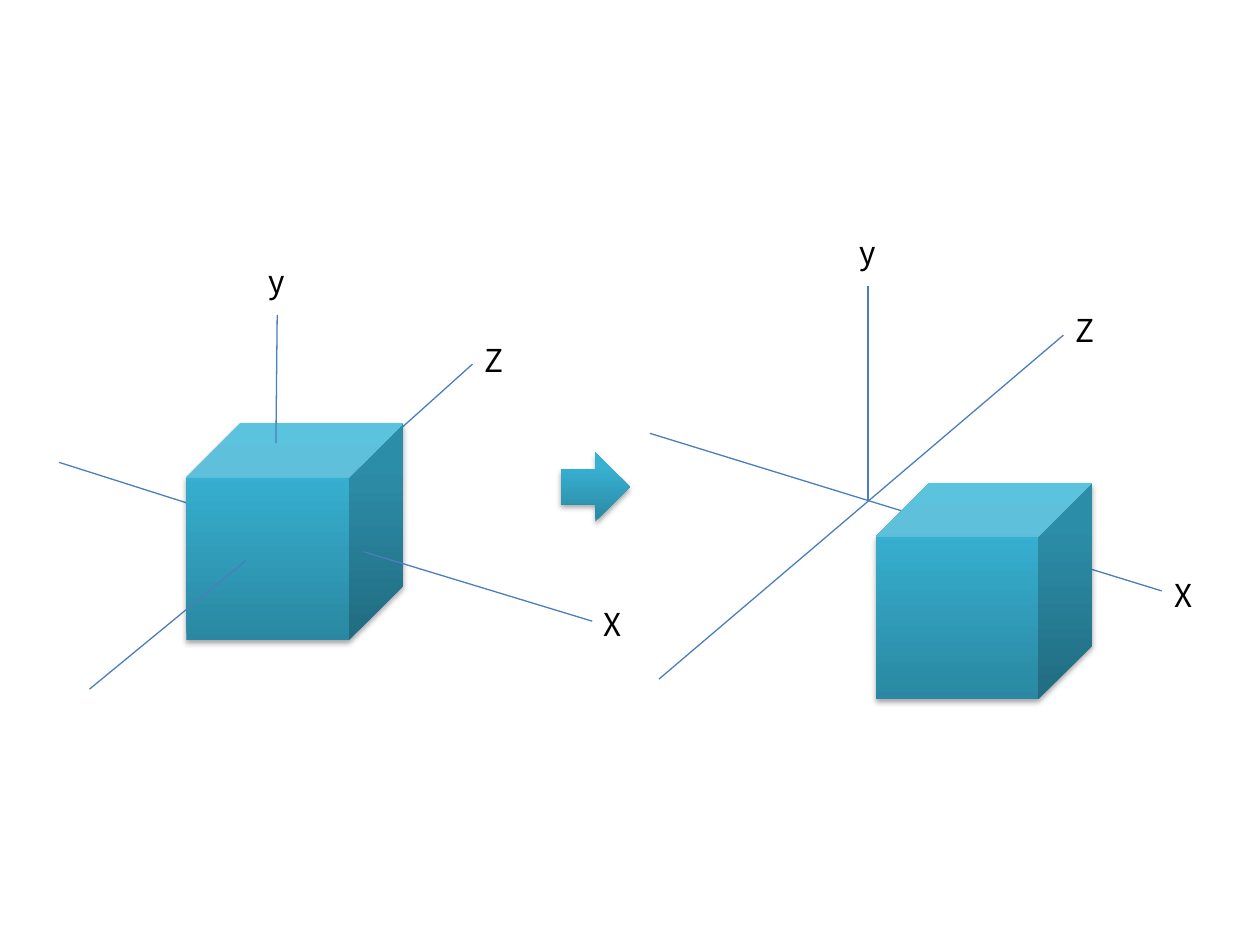
"""Build a slide showing a cube translated along the X axis."""
from lxml import etree
from pptx import Presentation
from pptx.dml.color import RGBColor
from pptx.enum.shapes import MSO_CONNECTOR, MSO_SHAPE
from pptx.enum.text import MSO_AUTO_SIZE
from pptx.util import Inches, Pt

STRAIGHT = MSO_CONNECTOR.STRAIGHT
CUBE, ARROW = MSO_SHAPE.CUBE, MSO_SHAPE.RIGHT_ARROW
GROW = MSO_AUTO_SIZE.SHAPE_TO_FIT_TEXT
NAMESPACE = "http://schemas.openxmlformats.org/drawingml/2006/main"

SLIDE_SIZE = (10, 7.5)
LABEL_SIZE = (0.55, 0.4)
CUBE_SIDE, ARROW_SIDE = 1.72, 0.55
ARROW_CORNER = (4.45, 3.59)
AXIS_COLOR = "4B7EBC"
LABEL_FORMAT = {"size": Pt(18), "name": "Noto Sans CJK KR"}
GRADIENT = [(0, "2A88A2"), (80, "37B1D2"), (100, "34B4D6")]

SCENES = [
    {
        "axes_behind": [(6.89, 2.27, 6.89, 3.98), (5.16, 3.44, 9.22, 4.69),
                        (8.44, 2.66, 5.23, 5.39)],
        "labels": {"y": (6.72, 1.8), "X": (9.22, 4.52), "Z": (8.44, 2.42)},
        "cube": (6.95, 3.83),
        "axes_in_front": [],
    },
    {
        "axes_behind": [(3.75, 2.89, 2.27, 4.22), (0.47, 3.67, 1.95, 4.14)],
        "labels": {"X": (4.69, 4.75), "y": (2.03, 2.03), "Z": (3.75, 2.66)},
        "cube": (1.48, 3.36),
        "axes_in_front": [(2.2, 2.5, 2.19, 3.52), (2.89, 4.38, 4.7, 4.93),
                          (1.95, 4.45, 0.71, 5.47)],
    },
]


def color(value):
    return RGBColor.from_string(value)


def inches(*lengths):
    return [Inches(length) for length in lengths]


def append_xml(solid, tag, body=""):
    xml = f'<a:{tag} xmlns:a="{NAMESPACE}">{body}</a:{tag}>'
    solid._element.spPr.append(etree.fromstring(xml))


def add_axis(shapes, ends):
    axis = shapes.add_connector(STRAIGHT, *inches(*ends))
    axis.line.color.rgb = color(AXIS_COLOR)
    axis.line.width = Pt(0.75)
    append_xml(axis, "effectLst")


def add_label(shapes, letter, corner):
    frame = shapes.add_textbox(*inches(*corner, *LABEL_SIZE)).text_frame
    frame.word_wrap = True
    frame.auto_size = GROW
    run = frame.paragraphs[0].add_run()
    run.text = letter
    for key, value in LABEL_FORMAT.items():
        setattr(run.font, key, value)
    run.font.color.rgb = color("000000")


def add_solid(shapes, kind, corner, side):
    solid = shapes.add_shape(kind, *inches(*corner, side, side))
    stops = "".join(f'<a:gs pos="{share * 1000}"><a:srgbClr val="{tone}"/></a:gs>'
                    for share, tone in GRADIENT)
    append_xml(solid, "gradFill", f'<a:gsLst>{stops}</a:gsLst><a:lin ang="16200000" scaled="0"/>')
    solid.line.fill.background()
    append_xml(solid, "effectLst",
               '<a:outerShdw blurRad="40000" dist="23000" dir="5400000" rotWithShape="0">'
               '<a:srgbClr val="000000"><a:alpha val="35000"/></a:srgbClr></a:outerShdw>')


def main():
    deck = Presentation()
    deck.slide_width, deck.slide_height = inches(*SLIDE_SIZE)
    slide = deck.slides.add_slide(deck.slide_layouts[6])
    shapes = slide.shapes.add_group_shape().shapes
    for scene in SCENES:
        for ends in scene["axes_behind"]:
            add_axis(shapes, ends)
        for letter, corner in scene["labels"].items():
            add_label(shapes, letter, corner)
        add_solid(shapes, CUBE, scene["cube"], CUBE_SIDE)
        for ends in scene["axes_in_front"]:
            add_axis(shapes, ends)
    add_solid(shapes, ARROW, ARROW_CORNER, ARROW_SIDE)
    deck.save("out.pptx")


if __name__ == "__main__":
    main()
